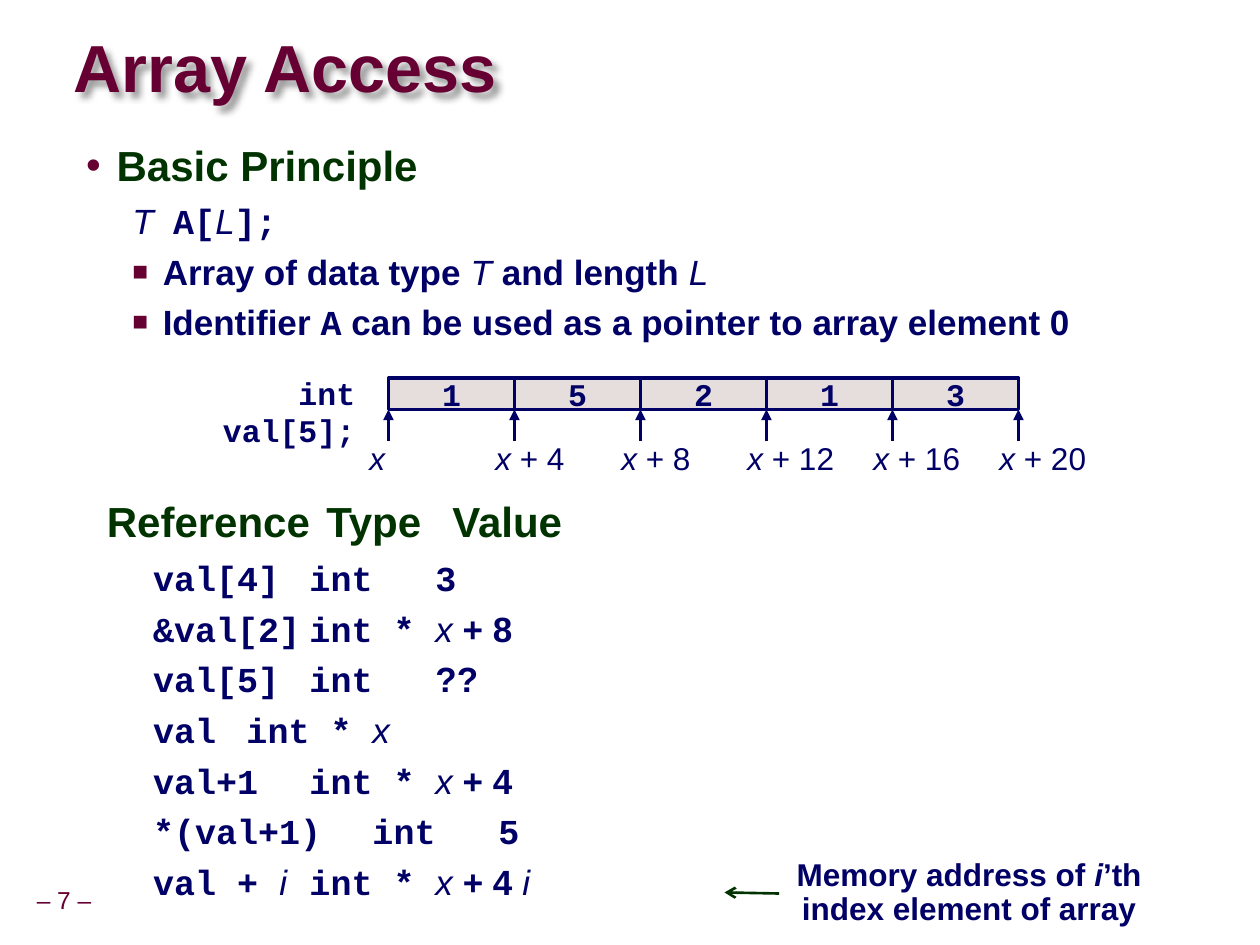
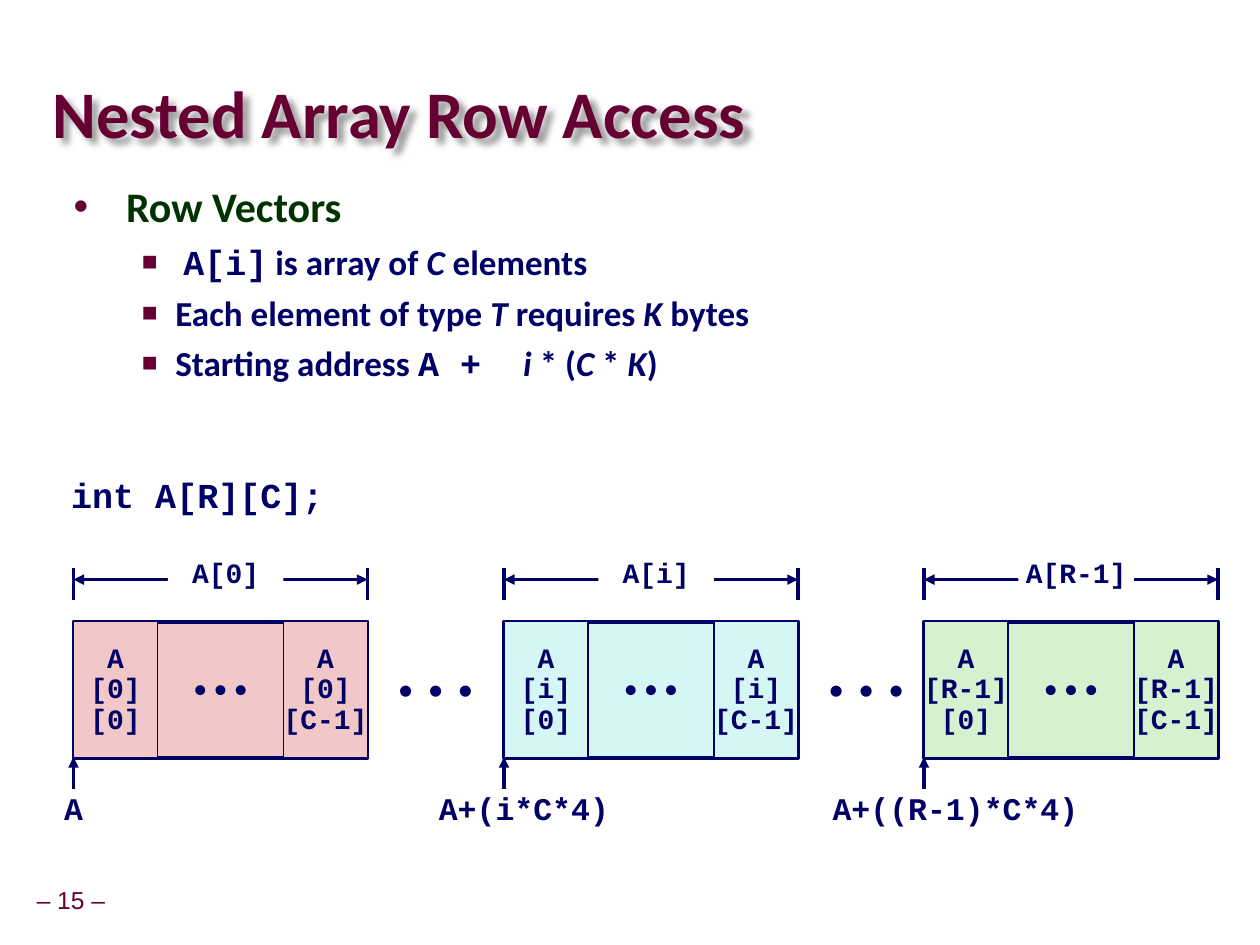
from dataclasses import dataclass
from typing import NamedTuple

import lxml.etree
import pptx
import pptx.dml.color
import pptx.enum.shapes
import pptx.enum.text
import pptx.oxml.ns
import pptx.util

PX = 7620  # EMU in one px, 120 px to the inch
qn = pptx.oxml.ns.qn
PP_ALIGN = pptx.enum.text.PP_ALIGN
ANCHOR = pptx.enum.text.MSO_ANCHOR


@dataclass(frozen=True)
class Theme:
    maroon: str = "660033"
    green: str = "003300"
    navy: str = "000066"
    white: str = "FFFFFF"
    cell: str = "E6DDDD"
    pink: str = "F1C7C7"
    aqua: str = "D6F5F5"
    lime: str = "D5F1CF"
    sans: str = "Arial"
    human: str = "Calibri"
    mono: str = "Courier New"
    title: int = 38
    heading: int = 24
    item: int = 20
    label: int = 18
    small: int = 16
    footer: int = 14


T = Theme()


class Box(NamedTuple):
    x: int
    y: int
    w: int
    h: int

    def emu(self) -> list[int]:
        return [v * PX for v in self]


class Span(NamedTuple):
    """Text with a style: b bold, i italic, m bold monospace, n plain."""
    text: str
    style: str = "b"


class Line(NamedTuple):
    spans: list[Span]
    bullet: str = ""
    level: int = 1


class Indent(NamedTuple):
    left: int
    hang: int


class RowBlock(NamedTuple):
    x: int
    index: str
    fill: str
    address: str
    address_x: int
    address_w: int


# --- Text ---

def rgb(value: str) -> pptx.dml.color.RGBColor:
    return pptx.dml.color.RGBColor.from_string(value)


def add_run(p, text: str, *, style: str = "b", font: str = T.sans,
            size: int = T.label, color: str = T.navy) -> None:
    r = p.add_run()
    r.text = text
    r.font.name = T.mono if "m" in style else font
    r.font.size = pptx.util.Pt(size)
    r.font.bold = "b" in style or "m" in style
    r.font.italic = "i" in style
    r.font.color.rgb = rgb(color)


def write(tf, lines: list[list[Span]], *, align=PP_ALIGN.LEFT,
          spacing: float = 1.0, **fmt) -> None:
    for n, spans in enumerate(lines):
        p = tf.add_paragraph() if n else tf.paragraphs[0]
        p.alignment = align
        p.line_spacing = spacing
        for span in spans:
            add_run(p, span.text, style=span.style, **fmt)


def sub(parent, tag: str, **attrs):
    return lxml.etree.SubElement(parent, qn(tag), attrs)


def set_outline(p, line: Line, indent: Indent) -> None:
    """Indent, space before and bullet of one paragraph."""
    pPr = p._p.get_or_add_pPr()
    pPr.set("marL", str(indent.left * PX))
    pPr.set("indent", str(-indent.hang * PX))
    before = "25000" if line.level else "50000"
    sub(sub(pPr, "a:spcBef"), "a:spcPct", val=before)
    if not line.bullet:
        sub(pPr, "a:buNone")
        return
    sub(sub(pPr, "a:buClr"), "a:srgbClr", val=T.maroon)
    sub(pPr, "a:buSzPct", val="75000" if line.level else "100000")
    sub(pPr, "a:buFont", typeface=T.sans)
    sub(pPr, "a:buChar", char=line.bullet)


def write_outline(tf, lines: list[Line], indents: list[Indent], font: str) -> None:
    tf.word_wrap = True
    tf.auto_size = pptx.enum.text.MSO_AUTO_SIZE.NONE
    for n, line in enumerate(lines):
        p = tf.add_paragraph() if n else tf.paragraphs[0]
        p.level = line.level
        p.alignment = PP_ALIGN.LEFT
        p.line_spacing = 1.0 if line.level else 0.95
        set_outline(p, line, indents[line.level])
        for span in line.spans:
            add_run(p, span.text, style=span.style, font=font,
                    size=T.item if line.level else T.heading,
                    color=T.navy if line.level else T.green)


# --- Shapes ---

def place(s, box: Box) -> None:
    s.left, s.top, s.width, s.height = box.emu()


def set_insets(tf, x: int, y: int) -> None:
    tf.margin_left = tf.margin_right = x * PX
    tf.margin_top = tf.margin_bottom = y * PX


def add_label(s, box: Box, lines: list[list[Span]], **fmt):
    sp = s.shapes.add_textbox(*box.emu())
    sp.text_frame.word_wrap = True
    write(sp.text_frame, lines, **fmt)
    return sp


def add_rect(s, box: Box, lines: list[list[Span]], fill: str,
             line_width: float = 0, **fmt) -> None:
    sp = s.shapes.add_shape(pptx.enum.shapes.MSO_SHAPE.RECTANGLE, *box.emu())
    sp.shadow.inherit = False
    sp.fill.solid()
    sp.fill.fore_color.rgb = rgb(fill)
    if line_width:
        sp.line.color.rgb = rgb(T.navy)
        sp.line.width = pptx.util.Pt(line_width)
    else:
        sp.line.fill.background()
    sp.text_frame.word_wrap = False
    sp.text_frame.vertical_anchor = ANCHOR.MIDDLE
    write(sp.text_frame, lines, align=PP_ALIGN.CENTER, **fmt)


def add_line(s, x1: int, y1: int, x2: int, y2: int, *, head: str = "",
             tail: str = "", color: str = T.navy, width: float = 2) -> None:
    c = s.shapes.add_connector(pptx.enum.shapes.MSO_CONNECTOR.STRAIGHT,
                               x1 * PX, y1 * PX, x2 * PX, y2 * PX)
    c.line.color.rgb = rgb(color)
    c.line.width = pptx.util.Pt(width)
    spPr = c._element.spPr
    ln = spPr.find(qn("a:ln"))
    if head:
        sub(ln, "a:headEnd", type=head)
    if tail:
        sub(ln, "a:tailEnd", type=tail)
    sub(spPr, "a:effectLst")


def add_slide(prs, title: str, title_box: Box, body_box: Box, number: int,
              lines: list[Line], indents: list[Indent], font: str):
    """Slide with shadowed title, bulleted body and page number."""
    s = prs.slides.add_slide(prs.slide_layouts[1])
    head, body = s.shapes.title, s.placeholders[1]
    place(head, title_box)
    tf = head.text_frame
    tf.auto_size = pptx.enum.text.MSO_AUTO_SIZE.NONE
    tf.vertical_anchor = ANCHOR.MIDDLE
    set_insets(tf, 0, 0)
    write(tf, [[Span(title)]], spacing=0.87, font=font,
          size=T.title, color=T.maroon)
    shadow = sub(sub(head._element.spPr, "a:effectLst"), "a:outerShdw",
                 blurRad="50800", dist="53880", dir="2700000", algn="tl")
    sub(sub(shadow, "a:srgbClr", val="000000"), "a:alpha", val="40000")

    place(body, body_box)
    set_insets(body.text_frame, 12, 6)
    write_outline(body.text_frame, lines, indents, font)

    page = add_label(s, Box(29, 840, 90, 37), [[Span(f"– {number} –", "n")]],
                     spacing=0.9, size=T.footer, color=T.maroon)
    page.text_frame.vertical_anchor = ANCHOR.MIDDLE
    set_insets(page.text_frame, 6, 6)
    return s


# --- Slides ---

def build_array_access(prs) -> None:
    indents = [Indent(29, 29), Indent(73, 29)]
    s = add_slide(prs, "Array Access", Box(70, 30, 730, 76), Box(70, 130, 1058, 192), 7, [
        Line([Span("Basic Principle")], "•", 0),
        Line([Span("T  ", "i"), Span("A[", "m"), Span("L", "i"), Span("];", "m")]),
        Line([Span("Array of data type "), Span("T", "i"),
              Span(" and length "), Span("L", "i")], "■"),
        Line([Span("Identifier "), Span("A", "m"),
              Span(" can be used as a pointer to array element 0")], "■"),
    ], indents, T.sans)

    # Array cells with the address of each boundary
    left, step = 370, 120
    values = [1, 5, 2, 1, 3]
    for n, value in enumerate(values):
        add_rect(s, Box(left + n * step, 360, step, 30),
                 [[Span(str(value), "m")]], T.cell, 2)
    add_label(s, Box(130, 350, 220, 48), [[Span("int val[5];", "m")]],
              align=PP_ALIGN.RIGHT)
    for n in range(len(values) + 1):
        x = left + n * step
        spans = [Span("x ", "i"), Span(f"+ {4 * n}", "n")] if n else [Span("x", "i")]
        add_label(s, Box(x - 30, 412, 130, 48), [spans])
        add_line(s, x, 420, x, 390, tail="triangle")

    # Reference list
    x = Span("x", "i")
    rows = [
        [Span("val[4]\tint\t3", "m")],
        [Span("&val[2]\tint *\t", "m"), x, Span(" + 8")],
        [Span("val[5]\tint\t", "m"), Span("??")],
        [Span("val\tint *\t", "m"), x],
        [Span("val+1\tint *\t", "m"), x, Span(" + 4")],
        [Span("*(val+1)\tint\t5", "m")],
        [Span("val + ", "m"), Span("i\t", "i"), Span("int *\t", "m"),
         Span("x ", "i"), Span("+ 4 "), Span("i", "i")],
    ]
    sp = s.shapes.add_textbox(*Box(90, 470, 1058, 192).emu())
    header = Line([Span("Reference\tType\tValue")], level=0)
    write_outline(sp.text_frame, [header, *map(Line, rows)], indents, T.sans)

    # Note on the last row
    add_label(s, Box(742, 812, 362, 78),
              [[Span("Memory address of "), Span("i", "bi"), Span("’th")],
               [Span("index element of array")]],
              align=PP_ALIGN.CENTER, spacing=0.9)
    add_line(s, 742, 851, 690, 850, tail="arrow", color=T.green, width=1.5)


def add_row_block(s, row: RowBlock) -> None:
    """One matrix row: cells, dimension line and start address."""
    top, w, h, cell_w = 592, 280, 130, 80
    right = row.x + w
    add_rect(s, Box(row.x, top, w, h), [[Span("• • •", "n")]], row.fill, 2.25,
             spacing=0.9, font=T.human, size=T.small)
    for x, column in ((row.x, "0"), (right - cell_w, "C-1")):
        lines = [[Span(t, "m")] for t in ("A", f"[{row.index}]", f"[{column}]")]
        add_rect(s, Box(x, top, cell_w, h), lines, row.fill, 1,
                 spacing=0.9, size=T.small)
    for x in (row.x, right):
        add_line(s, x, 541, x, 571)
    add_line(s, row.x, 552, right, 552, head="triangle", tail="triangle")
    add_rect(s, Box(row.x + 90, 522, 110, 50), [[Span(f"A[{row.index}]", "m")]],
             T.white, spacing=0.9, size=T.small)
    add_line(s, row.x, 751, row.x, 721, tail="triangle")
    add_label(s, Box(row.address_x, 750, row.address_w, 48),
              [[Span(row.address, "m")]], align=PP_ALIGN.CENTER, spacing=0.9)


def build_row_access(prs) -> None:
    s = add_slide(prs, "Nested Array Row Access", Box(50, 74, 910, 76),
                  Box(58, 169, 782, 191), 15, [
        Line([Span("Row Vectors")], "•", 0),
        Line([Span(" "), Span("A[i]", "m"), Span(" is array of "),
              Span("C", "bi"), Span(" elements")], "■"),
        Line([Span("Each element of type "), Span("T ", "bi"), Span("requires "),
              Span("K ", "bi"), Span("bytes")], "■"),
        Line([Span("Starting address "), Span("A +  ", "m"), Span("i", "bi"),
              Span(" * ("), Span("C ", "bi"), Span("* "), Span("K", "bi"),
              Span(")")], "■"),
    ], [Indent(50, 50), Indent(97, 32)], T.human)

    add_label(s, Box(56, 450, 270, 52), [[Span("int A[R][C];", "m")]],
              spacing=0.9, size=T.item)
    for x in (350, 760):
        add_rect(s, Box(x, 592, 130, 130), [[Span("•  •  •", "n")]], T.white,
                 spacing=0.9, font=T.human)
    for row in (RowBlock(70, "0", T.pink, "A", 44, 52),
                RowBlock(480, "i", T.aqua, "A+(i*C*4)", 380, 238),
                RowBlock(880, "R-1", T.lime, "A+((R-1)*C*4)", 760, 300)):
        add_row_block(s, row)


def main() -> None:
    prs = pptx.Presentation()
    prs.slide_width, prs.slide_height = 1200 * PX, 900 * PX
    build_array_access(prs)
    build_row_access(prs)
    prs.save("out.pptx")


if __name__ == "__main__":
    main()
